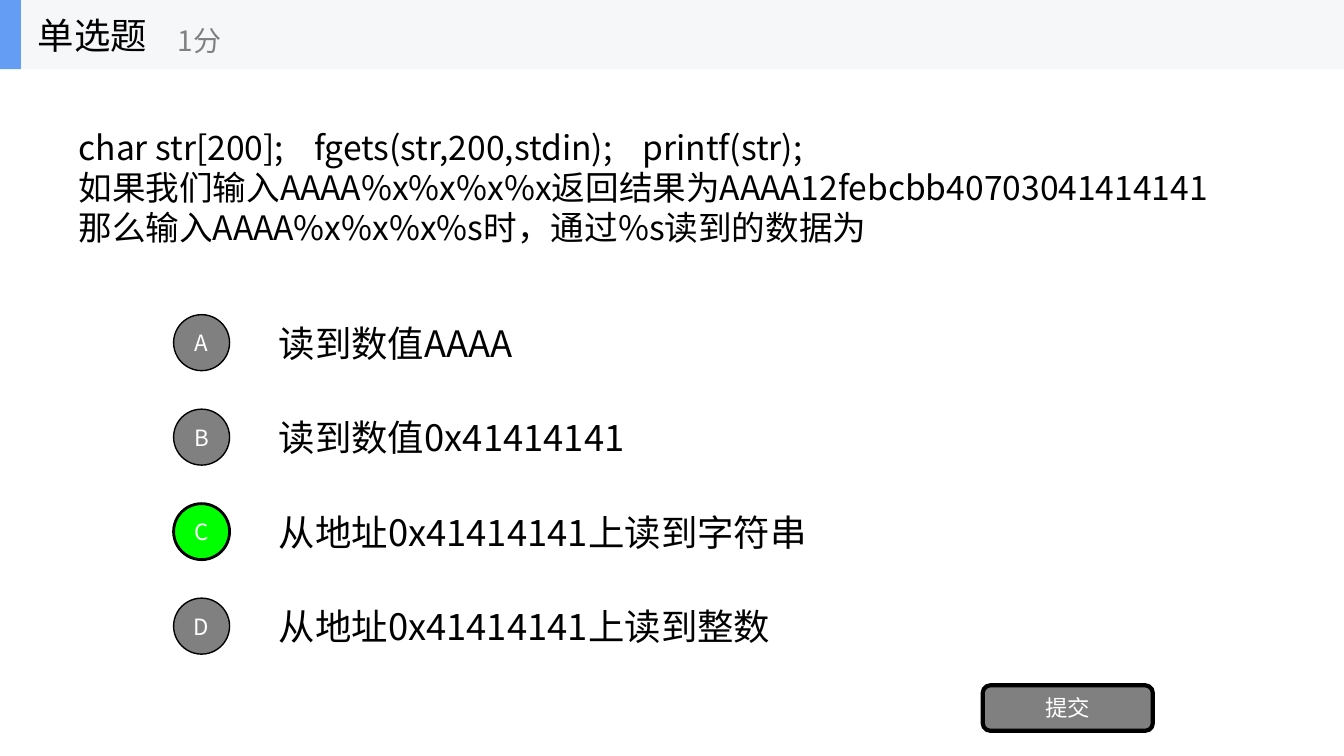
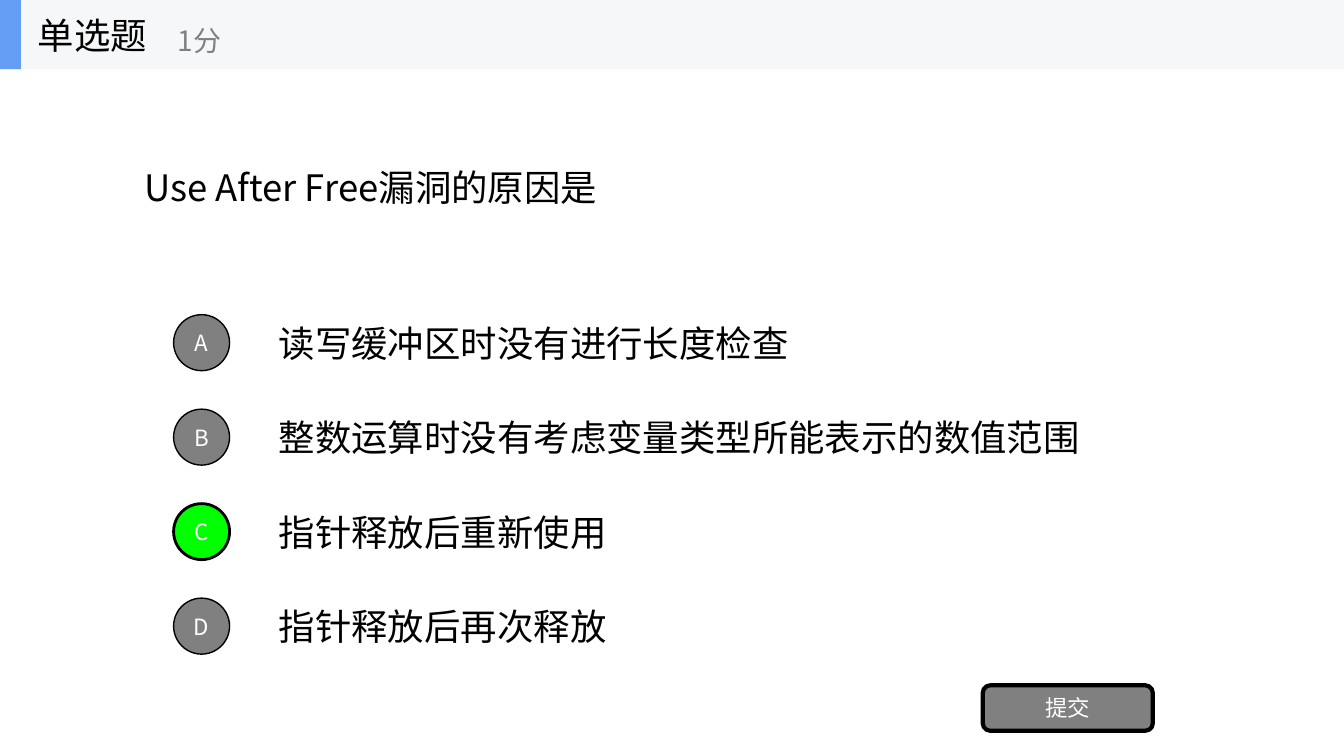
from dataclasses import dataclass
from typing import Any

from pptx import Presentation
from pptx.dml.color import RGBColor
from pptx.enum.shapes import MSO_SHAPE as Preset
from pptx.enum.text import MSO_ANCHOR as Anchor, PP_ALIGN as Align
from pptx.oxml.ns import qn
from pptx.util import Pt
from lxml.etree import SubElement

FONT = "Noto Sans CJK SC"
BLACK, WHITE, GREY = "000000", "FFFFFF", "808080"
BAND, ACCENT, CORRECT = "F6F7F8", "639EF4", "00FF00"

SLIDE_WIDTH, SLIDE_HEIGHT = 960, 540
HEADER_HEIGHT = 49.5
OPTION_TOP, OPTION_STEP, OPTION_HEIGHT = 219.5, 67.5, 50.5
BADGE_SIZE = 40


@dataclass(frozen=True)
class Box:
    left: float
    top: float
    width: float
    height: float

    def lengths(self) -> tuple[Pt, ...]:
        return tuple(Pt(v) for v in (self.left, self.top, self.width, self.height))


@dataclass(frozen=True)
class Question:
    prompt: tuple[str, ...]
    prompt_box: Box
    options: tuple[str, ...]
    answer: str
    prompt_size: float = 26
    code_stops: tuple[float, ...] = ()


QUESTIONS = (
    Question(
        prompt=(
            "char str[200];\tfgets(str,200,stdin);\tprintf(str);",
            "如果我们输入AAAA%x%x%x%x返回结果为AAAA12febcbb40703041414141",
            "那么输入AAAA%x%x%x%s时，通过%s读到的数据为",
        ),
        prompt_box=Box(49, HEADER_HEIGHT, 867.5, 168.5),
        options=(
            "读到数值AAAA",
            "读到数值0x41414141",
            "从地址0x41414141上读到字符串",
            "从地址0x41414141上读到整数",
        ),
        answer="C",
        prompt_size=24,
        code_stops=(168.5, 403),
    ),
    Question(
        prompt=("Use After Free漏洞的原因是",),
        prompt_box=Box(96, HEADER_HEIGHT, 768, 168.5),
        options=(
            "读写缓冲区时没有进行长度检查",
            "整数运算时没有考虑变量类型所能表示的数值范围",
            "指针释放后重新使用",
            "指针释放后再次释放",
        ),
        answer="C",
    ),
)


def rgb(value: str) -> RGBColor:
    return RGBColor.from_string(value)


def write(frame: Any, *lines: str, size: float = 26, color: str = BLACK,
          align: Align = Align.LEFT, tab_stops: tuple[float, ...] = (),
          line_pitch: float | None = None) -> None:
    """Fill a text frame; line_pitch is the height of each line after the first."""
    frame.word_wrap = True
    frame.vertical_anchor = Anchor.MIDDLE
    for index, line in enumerate(lines):
        paragraph = frame.add_paragraph() if index else frame.paragraphs[0]
        paragraph.alignment = align
        if index and line_pitch:
            paragraph.line_spacing = Pt(line_pitch)
        if "\t" in line:
            tabs = SubElement(paragraph._p.get_or_add_pPr(), qn("a:tabLst"))
            for stop in tab_stops:
                SubElement(tabs, qn("a:tab"), pos=str(Pt(stop)), algn="l")
        run = paragraph.add_run()
        run.text = line
        run.font.size = Pt(size)
        run.font.color.rgb = rgb(color)
        run.font.name = FONT
        SubElement(run._r.get_or_add_rPr(), qn("a:ea"), typeface=FONT)


def add_text(shapes: Any, box: Box, *lines: str, **text_format: Any) -> None:
    write(shapes.add_textbox(*box.lengths()).text_frame, *lines, **text_format)


def add_panel(shapes: Any, preset: Preset, box: Box, fill: str,
              border: float = 0, label: str = "") -> None:
    """Draw a filled shape, with a black border and a white label if given."""
    panel = shapes.add_shape(preset, *box.lengths())
    panel.shadow.inherit = False
    panel.fill.solid()
    panel.fill.fore_color.rgb = rgb(fill)
    if border:
        panel.line.color.rgb = rgb(BLACK)
        panel.line.width = Pt(border)
    else:
        panel.line.fill.background()
    if label:
        frame = panel.text_frame
        frame.margin_left = frame.margin_right = Pt(0)
        frame.margin_top = frame.margin_bottom = Pt(0)
        write(frame, label, size=16, color=WHITE, align=Align.CENTER)


def add_header(slide: Any) -> None:
    shapes = slide.shapes.add_group_shape().shapes
    add_panel(shapes, Preset.RECTANGLE, Box(0, 0, SLIDE_WIDTH, HEADER_HEIGHT), BAND)
    add_panel(shapes, Preset.RECTANGLE, Box(0, 0, 15, HEADER_HEIGHT), ACCENT)
    add_text(shapes, Box(20, 0, 150, HEADER_HEIGHT), "单选题")
    add_text(shapes, Box(120, 9, 180, 40), "1分", size=20, color=GREY)


def add_options(slide: Any, question: Question) -> None:
    badge_inset = (OPTION_HEIGHT - BADGE_SIZE) / 2
    for index, (letter, option) in enumerate(zip("ABCD", question.options)):
        top = OPTION_TOP + index * OPTION_STEP
        add_text(slide.shapes, Box(192, top, 672, OPTION_HEIGHT), option)
        fill, border = (CORRECT, 2) if letter == question.answer else (GREY, 1)
        badge = Box(124, top + badge_inset, BADGE_SIZE, BADGE_SIZE)
        add_panel(slide.shapes, Preset.OVAL, badge, fill, border, letter)


def add_question(deck: Any, question: Question) -> None:
    slide = deck.slides.add_slide(deck.slide_layouts[6])
    add_text(slide.shapes, question.prompt_box, *question.prompt,
             size=question.prompt_size, tab_stops=question.code_stops,
             line_pitch=28.5)
    add_options(slide, question)
    add_panel(slide.shapes, Preset.ROUNDED_RECTANGLE, Box(702, 489.5, 121.5, 32.5),
              GREY, 3, "提交")
    add_header(slide)


def main() -> None:
    deck = Presentation()
    deck.slide_width, deck.slide_height = Pt(SLIDE_WIDTH), Pt(SLIDE_HEIGHT)
    for question in QUESTIONS:
        add_question(deck, question)
    deck.save("out.pptx")


if __name__ == "__main__":
    main()
